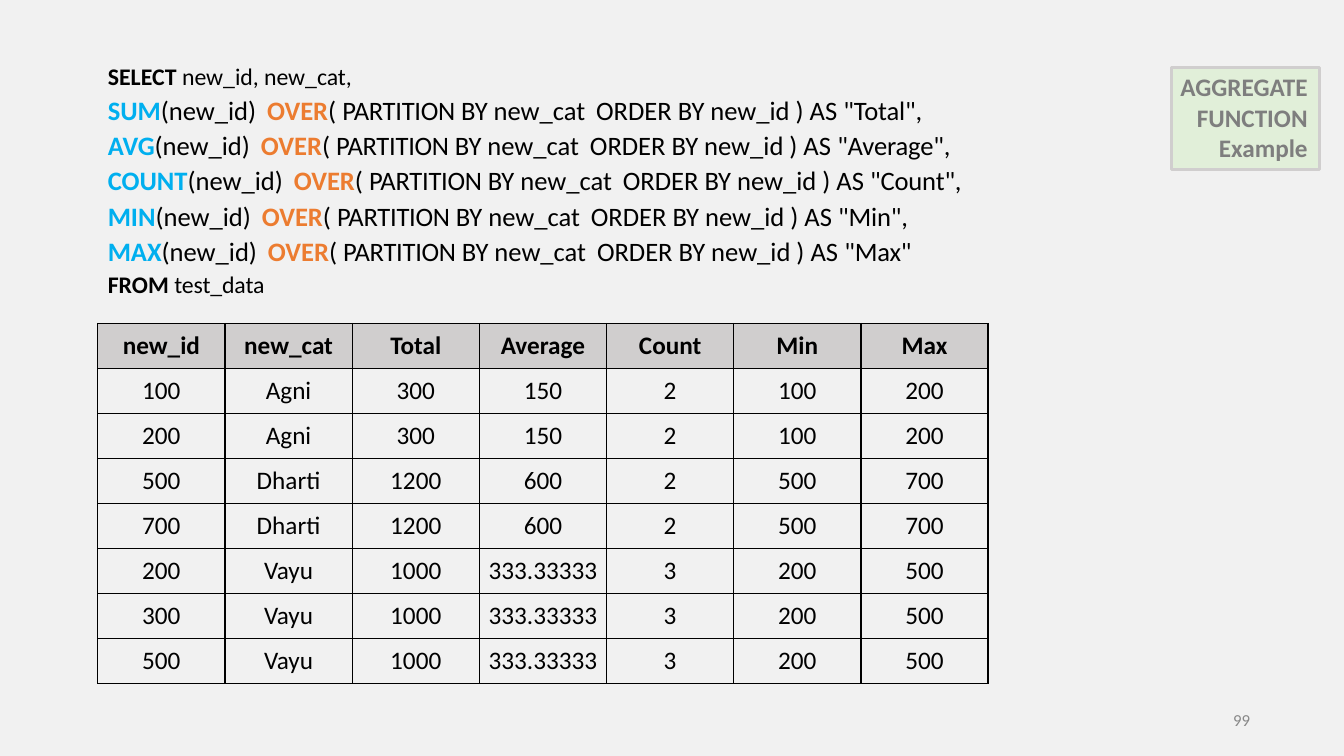
from pptx import Presentation, util as u
from pptx.dml.color import RGBColor
from pptx.enum import text as t
from pptx.oxml import parse_xml
from pptx.oxml.ns import nsdecls

PAPER = RGBColor(0xF1, 0xF1, 0xF1)
BLACK = RGBColor(0, 0, 0)
BLUE = RGBColor(0x00, 0xAF, 0xEF)
ORANGE = RGBColor(0xEC, 0x7C, 0x30)
GREEN = RGBColor(0xE1, 0xEF, 0xD9)
SILVER = RGBColor(0xD0, 0xCE, 0xCE)
GREY = RGBColor(0x7E, 0x7E, 0x7E)
PALE_GREY = RGBColor(0x88, 0x88, 0x88)

AGGREGATES = [("SUM", "Total"), ("AVG", "Average"), ("COUNT", "Count"), ("MIN", "Min"), ("MAX", "Max")]
HEADINGS = ["new_id", "new_cat"] + [alias for _, alias in AGGREGATES]
RESULTS = [
    ("100", "Agni", "300", "150", "2", "100", "200"),
    ("200", "Agni", "300", "150", "2", "100", "200"),
    ("500", "Dharti", "1200", "600", "2", "500", "700"),
    ("700", "Dharti", "1200", "600", "2", "500", "700"),
    ("200", "Vayu", "1000", "333.33333", "3", "200", "500"),
    ("300", "Vayu", "1000", "333.33333", "3", "200", "500"),
    ("500", "Vayu", "1000", "333.33333", "3", "200", "500"),
]


def inches(*lengths):
    """Turn lengths in inches into slide units."""
    return [u.Inches(length) for length in lengths]


def style(paragraph, size, colour=BLACK, bold=None):
    """Set the font that all runs of a paragraph share."""
    font = paragraph.font
    font.name, font.size, font.bold = "Calibri", u.Pt(size), bold
    font.color.rgb = colour


def set_insets(frame, left=0, top=0, right=0):
    """Set the insets of a wrapping text frame."""
    frame.word_wrap = True
    frame.auto_size = t.MSO_AUTO_SIZE.NONE
    frame.margin_left, frame.margin_top, frame.margin_right, frame.margin_bottom = inches(left, top, right, 0)


def add_run(paragraph, words, colour=None, bold=False, spacing=0):
    """Append a run with its own colour, weight and letter spacing."""
    run = paragraph.add_run()
    run.text = words
    run.font.bold = bold
    if colour is not None:
        run.font.color.rgb = colour
    if spacing:
        run.font._element.set("spc", str(round(spacing * 100)))


def add_query(slide, box):
    """Write the SQL query, one clause a line."""
    frame = slide.shapes.add_textbox(*inches(*box)).text_frame
    set_insets(frame, left=0.01, top=0.05)
    select = frame.paragraphs[0]
    style(select, 17)
    add_run(select, "SELECT ", bold=True)
    add_run(select, "new_id, new_cat,", spacing=-0.05)
    for function, alias in AGGREGATES:
        clause = frame.add_paragraph()
        clause.space_before = u.Pt(2.5)
        style(clause, 19)
        comma = "" if function == AGGREGATES[-1][0] else ","
        add_run(clause, function, BLUE, True)
        add_run(clause, "(new_id)")
        add_run(clause, " ", spacing=3.5)
        add_run(clause, "OVER", ORANGE, True)
        add_run(clause, "( ")
        add_run(clause, "PARTITION ", spacing=-0.2)
        add_run(clause, "BY new_cat")
        add_run(clause, " ", spacing=3.5)
        add_run(clause, "ORDER BY new_id ) AS ")
        add_run(clause, f'"{alias}"{comma}', spacing=-0.1)
    source = frame.add_paragraph()
    source.space_before = u.Pt(2)
    style(source, 17)
    add_run(source, "FROM ", bold=True)
    add_run(source, "test_data", spacing=-0.1)


def add_badge(slide, box):
    """Turn the title into a framed badge in the corner."""
    badge = slide.shapes.title
    badge.left, badge.top, badge.width, badge.height = inches(*box)
    badge.fill.solid()
    badge.fill.fore_color.rgb = GREEN
    badge.line.color.rgb = SILVER
    badge.line.width = u.Pt(2.25)
    frame = badge.text_frame
    frame.text = "AGGREGATE FUNCTION\nExample"
    set_insets(frame, top=0.04, right=0.12)
    frame.vertical_anchor = t.MSO_ANCHOR.TOP
    for paragraph in frame.paragraphs:
        paragraph.alignment = t.PP_ALIGN.RIGHT
        paragraph.line_spacing = 1.0
        style(paragraph, 18, GREY, True)


def format_cell(cell, words, is_heading):
    """Fill, frame and write one table cell."""
    for side in ("lnL", "lnR", "lnT", "lnB"):
        cell._tc.get_or_add_tcPr().append(parse_xml(
            f'<a:{side} {nsdecls("a")} w="12700"><a:solidFill><a:srgbClr val="{BLACK}"/></a:solidFill></a:{side}>'))
    if is_heading:
        cell.fill.solid()
        cell.fill.fore_color.rgb = SILVER
    else:
        cell.fill.background()
    cell.margin_left = cell.margin_right = cell.margin_top = cell.margin_bottom = 0
    cell.vertical_anchor = t.MSO_ANCHOR.MIDDLE
    cell.text = words
    paragraph = cell.text_frame.paragraphs[0]
    paragraph.alignment = t.PP_ALIGN.CENTER
    style(paragraph, 18, BLACK, is_heading)


def add_results(slide, box):
    """Lay out the result set as an even grid."""
    rows = [HEADINGS] + RESULTS
    table = slide.shapes.add_table(len(rows), len(HEADINGS), *inches(*box)).table
    table.horz_banding = False
    for r, row in enumerate(rows):
        for c, words in enumerate(row):
            format_cell(table.cell(r, c), words, r == 0)


def add_page_number(slide, box):
    """Write the page number at the foot."""
    frame = slide.shapes.add_textbox(*inches(*box)).text_frame
    set_insets(frame, left=0.21)
    number = frame.paragraphs[0]
    number.text = "99"
    number.line_spacing = u.Pt(12.4)
    style(number, 12, PALE_GREY)


def main():
    """Build the slide and save it."""
    deck = Presentation()
    deck.slide_width, deck.slide_height = inches(13.33, 7.5)
    slide = deck.slides.add_slide(deck.slide_layouts.get_by_name("Title Only"))
    slide.background.fill.solid()
    slide.background.fill.fore_color.rgb = PAPER
    add_query(slide, (1.06, 0.56, 8.57, 2.46))
    add_badge(slide, (11.62, 0.67, 1.47, 1.01))
    add_results(slide, (0.97, 3.21, 8.83, 3.57))
    add_page_number(slide, (12.02, 7.07, 0.4, 0.26))
    deck.save("out.pptx")


if __name__ == "__main__":
    main()
